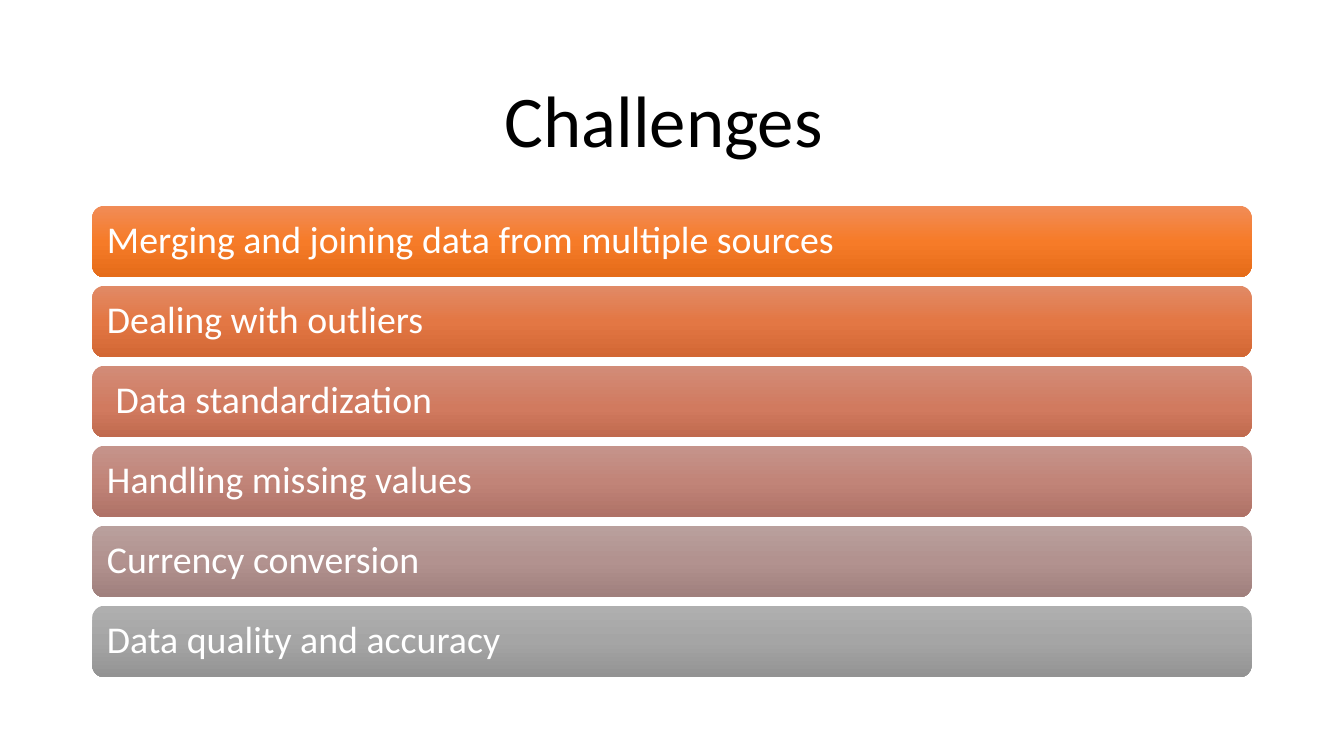
from copy import deepcopy

from pptx import Presentation
from pptx.dml.color import RGBColor
from pptx.enum import shapes, text
from pptx.oxml import ns
from pptx.util import Pt

FONT = "Calibri"
COLORS = {"title": "000000", "label": "FFFFFF"}
# Label, gradient colours from top to bottom, place of the middle colour
BARS = [
    ("Merging and joining data from multiple sources", "F18C57 F67B28 E56C19", 0.5),
    ("Dealing with outliers", "E18A66 E37744 D26734", 0.5),
    (" Data standardization", "D28C78 D17A5F C06A4E", 0.59),
    ("Handling missing values", "C5948B C18478 AF7267", 0.5),
    ("Currency conversion", "B9A09D B2928F A0807D", 0.5),
    ("Data quality and accuracy", "AFAFAF A5A5A5 939393", 0.5),
]


def write(shape, words, size, color, align):
    frame = shape.text_frame
    frame.word_wrap = True
    frame.vertical_anchor = text.MSO_ANCHOR.MIDDLE
    para = frame.paragraphs[0]
    para.text = words
    para.alignment = align
    para.line_spacing = 0.9
    para.font.name = FONT
    para.font.size = Pt(size)
    para.font.color.rgb = RGBColor.from_string(color)
    return frame


def shade(shape, tones, middle):
    """Fill with three colours running from top to bottom."""
    fill = shape.fill
    fill.gradient()
    fill.gradient_angle = 270
    stops = shape._element.spPr.find(".//" + ns.qn("a:gsLst"))
    stops.insert(1, deepcopy(stops[0]))
    for stop, tone, place in zip(fill.gradient_stops, tones, (0, middle, 1)):
        stop.color.rgb = RGBColor.from_string(tone)
        stop.position = place


def add_title(slide, words, left, top, width, height):
    box = slide.shapes.add_textbox(Pt(left), Pt(top), Pt(width), Pt(height))
    write(box, words, 52, COLORS["title"], text.PP_ALIGN.CENTER)


def add_bars(slide, bars, left, top, width, height, gap=6.15):
    """Stack equal bars to fill the box."""
    tall = (height - gap * (len(bars) - 1)) / len(bars)
    for i, (words, tones, middle) in enumerate(bars):
        y = top + i * (tall + gap)
        bar = slide.shapes.add_shape(
            shapes.MSO_SHAPE.ROUNDED_RECTANGLE, Pt(left), Pt(y), Pt(width), Pt(tall))
        bar.shadow.inherit = False
        bar.line.fill.background()
        shade(bar, tones.split(), middle)
        frame = write(bar, words, 27, COLORS["label"], text.PP_ALIGN.LEFT)
        frame.margin_left = frame.margin_right = Pt(8)
        frame.margin_top = frame.margin_bottom = Pt(8)


def main():
    deck = Presentation()
    deck.slide_width, deck.slide_height = Pt(960), Pt(540)
    slide = deck.slides.add_slide(deck.slide_layouts[6])
    add_title(slide, "Challenges ", 66, 44, 828, 89)
    add_bars(slide, BARS, 66, 147, 828, 336.75)
    deck.save("out.pptx")


if __name__ == "__main__":
    main()
